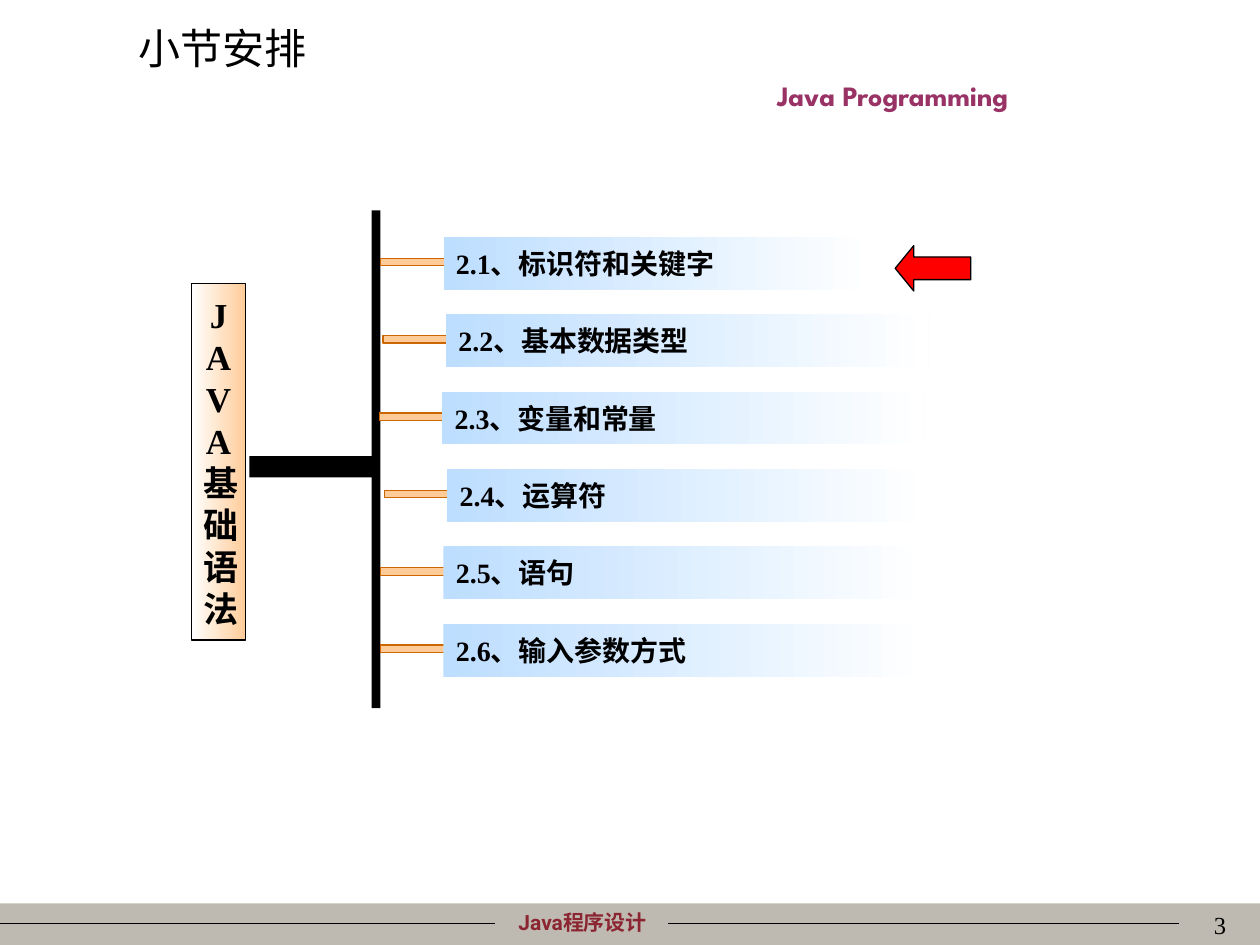
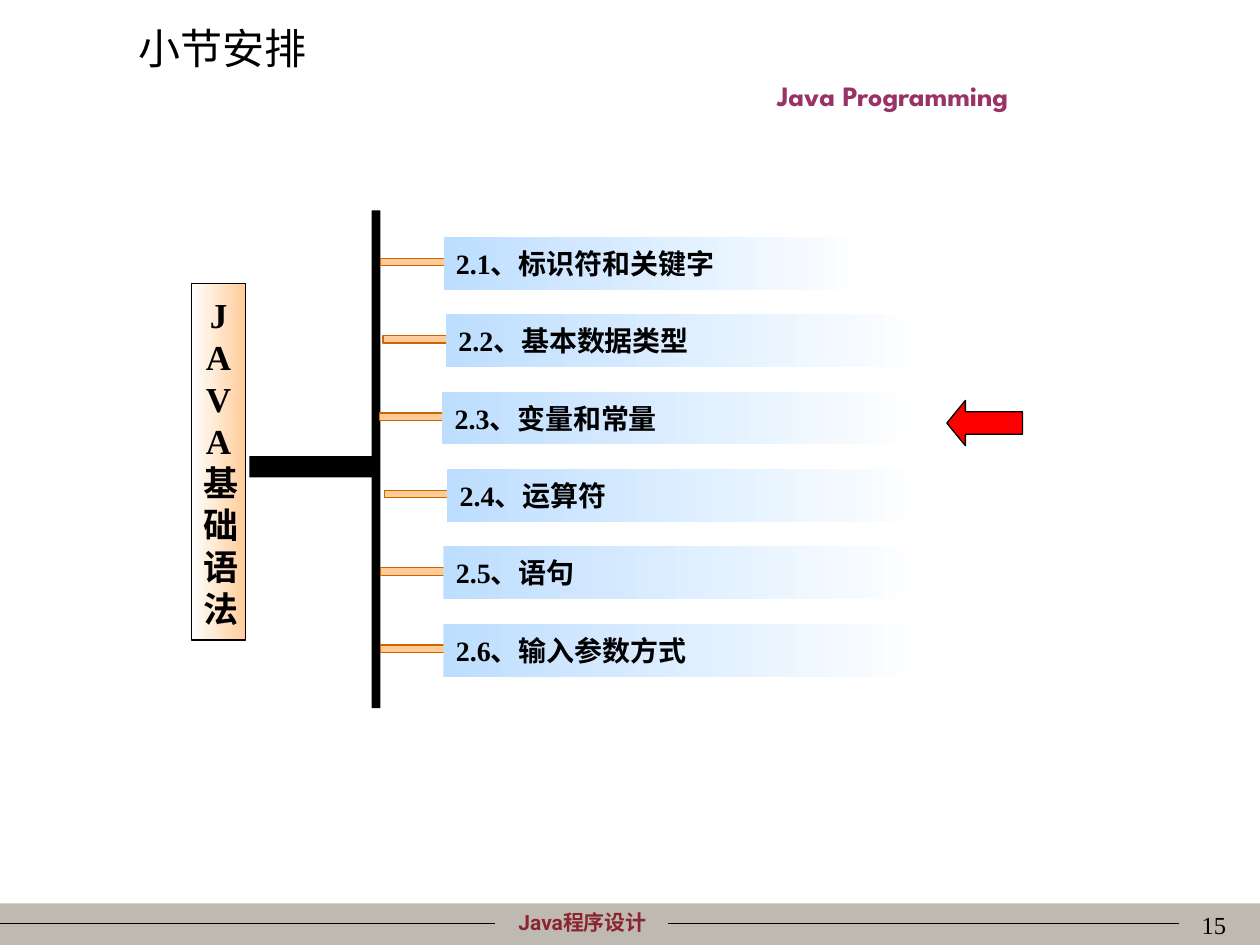
from collections import namedtuple

from lxml.etree import SubElement
from pptx import Presentation
from pptx.dml.color import RGBColor
from pptx.enum.shapes import MSO_CONNECTOR as CONNECTOR, MSO_SHAPE as SHAPE
from pptx.enum.text import MSO_ANCHOR as ANCHOR, PP_ALIGN as ALIGN
from pptx.oxml.ns import qn
from pptx.util import Inches, Pt

COLORS = {
    "black": "000000", "white": "FFFFFF", "band": "BFBAB1", "footer": "8C2532",
    "course": "993366", "peach": "FFCC99", "orange": "CC6600", "sky": "BDDEFF",
    "red": "FF0000",
}
SERIF, CJK = "Times New Roman", "Noto Sans CJK SC"

# The slide is a grid of 100 columns by 75 rows
COLUMNS, ROWS = 100, 75
WIDTH, HEIGHT = Inches(10), Inches(7.5)
LINE_WIDTH = Pt(0.75)

TITLE = "小节安排"
PANEL_LINES = ["J", "A", "V", "A", "基础语法"]
Section = namedtuple("Section", "text shift width")
SECTIONS = [
    Section("2.1、标识符和关键字", 0, 34.1),
    Section("2.2、基本数据类型", 0.2, 38.3),
    Section("2.3、变量和常量", -0.1, 38.3),
    Section("2.4、运算符", 0.3, 38.3),
    Section("2.5、语句", 0, 38.3),
    Section("2.6、输入参数方式", 0, 38.3),
]
SECTION_PITCH = 6.14


class Box(namedtuple("Box", "x y w h")):
    def inner(self, x, y, w, h):
        """Return a box offset from this one's top left corner."""
        return Box(self.x + x, self.y + y, w, h)

    def emu(self):
        col, row = WIDTH / COLUMNS, HEIGHT / ROWS
        return [round(v) for v in (self.x * col, self.y * row, self.w * col, self.h * row)]


TITLE_BOX = Box(10, 1.3, 28.5, 5)
COURSE_BOX = Box(50.8, 5.7, 40.1, 3.7)
OUTLINE_BOX = Box(15.2, 16.7, 58.6, 39.5)
FOOTER_BOX = Box(0, 71.7, 100, 3.3)


def rgb(name):
    return RGBColor.from_string(COLORS[name])


def write(sp, lines, size, font, color="black", bold=False, align=ALIGN.CENTER,
          anchor=ANCHOR.MIDDLE, spacing=None):
    tf = sp.text_frame
    tf.word_wrap = True
    tf.vertical_anchor = anchor
    tf.text = "\n".join(lines)
    for p in tf.paragraphs:
        p.alignment = align
        p.space_before = Pt(0)
        if spacing:
            p.line_spacing = Pt(spacing)
        p.font.size, p.font.bold, p.font.name = Pt(size), bold, font
        p.font.color.rgb = rgb(color)
        SubElement(p._p.pPr.find(qn("a:defRPr")), qn("a:ea"), typeface=CJK)


def add_text(slide, box, text, size, font, **style):
    write(slide.shapes.add_textbox(*box.emu()), [text], size, font, **style)


def add_block(slide, box, *fills, line=None, kind=SHAPE.RECTANGLE):
    """Add a shape; two fills make a gradient from left to right."""
    sp = slide.shapes.add_shape(kind, *box.emu())
    sp.shadow.inherit = False
    if len(fills) == 2:
        sp.fill.gradient()
        sp.fill.gradient_angle = 0
        for stop, name in zip(sp.fill.gradient_stops, fills):
            stop.color.rgb = rgb(name)
    else:
        sp.fill.solid()
        sp.fill.fore_color.rgb = rgb(fills[0])
    if line:
        sp.line.color.rgb = rgb(line)
        sp.line.width = LINE_WIDTH
    else:
        sp.line.fill.background()
    return sp


def add_rule(slide, box):
    x, y, w, _ = box.emu()
    rule = slide.shapes.add_connector(CONNECTOR.STRAIGHT, x, y, x + w, y)
    rule.line.color.rgb = rgb("black")
    rule.line.width = LINE_WIDTH
    SubElement(rule._element.spPr, qn("a:effectLst"))


def add_footer(slide, box, number):
    add_block(slide, box, "band")
    add_text(slide, box.inner(36.2, 0, 20.1, 3), "Java程序设计", 12, "Roboto",
             color="footer", bold=True)
    for x, w in [(0, 39.3), (53, 40.6)]:
        add_rule(slide, box.inner(x, 1.6, w, 0))
    add_text(slide, box.inner(77.5, 0, 20.8, 3.3), str(number), 14, SERIF,
             align=ALIGN.RIGHT, anchor=ANCHOR.TOP)


def add_header(slide):
    title = slide.shapes.title
    title.left, title.top, title.width, title.height = TITLE_BOX.emu()
    write(title, [TITLE], 24, CJK, align=ALIGN.LEFT)
    add_text(slide, COURSE_BOX, "Java Programming", 16, "League Spartan",
             color="course", bold=True)


def add_outline(slide, box, current):
    """Draw the chapter tree with an arrow at the current section."""
    panel = add_block(slide, box.inner(0, 5.8, 4.3, 28.3), "white", "peach", line="black")
    write(panel, PANEL_LINES, 20, SERIF, bold=True, spacing=24)
    add_block(slide, box.inner(4.6, 19.5, 10, 1.7), "black")
    add_block(slide, box.inner(14.3, 0, 0.7, 39.5), "black")
    for i, section in enumerate(SECTIONS):
        row = box.inner(20 + section.shift, 2.1 + i * SECTION_PITCH, section.width, 4.2)
        add_block(slide, row.inner(-5, 1.7, 5.1, 0.6), "peach", line="orange")
        sp = add_block(slide, row, "sky", "white")
        write(sp, [section.text], 16, SERIF, bold=True, align=ALIGN.JUSTIFY)
        if i == current:
            arrow = add_block(slide, row.inner(row.w + 1.75, 0.7, 6, 3.6), "red",
                              line="black", kind=SHAPE.LEFT_ARROW)
            arrow.adjustments[1] = 0.41


def add_section_slide(prs, number, current):
    slide = prs.slides.add_slide(prs.slide_layouts[5])
    add_footer(slide, FOOTER_BOX, number)
    add_header(slide)
    add_outline(slide, OUTLINE_BOX, current)


def main():
    prs = Presentation()
    prs.slide_width, prs.slide_height = WIDTH, HEIGHT
    for number, current in [(3, 0), (15, 2)]:
        add_section_slide(prs, number, current)
    prs.save("out.pptx")


if __name__ == "__main__":
    main()
